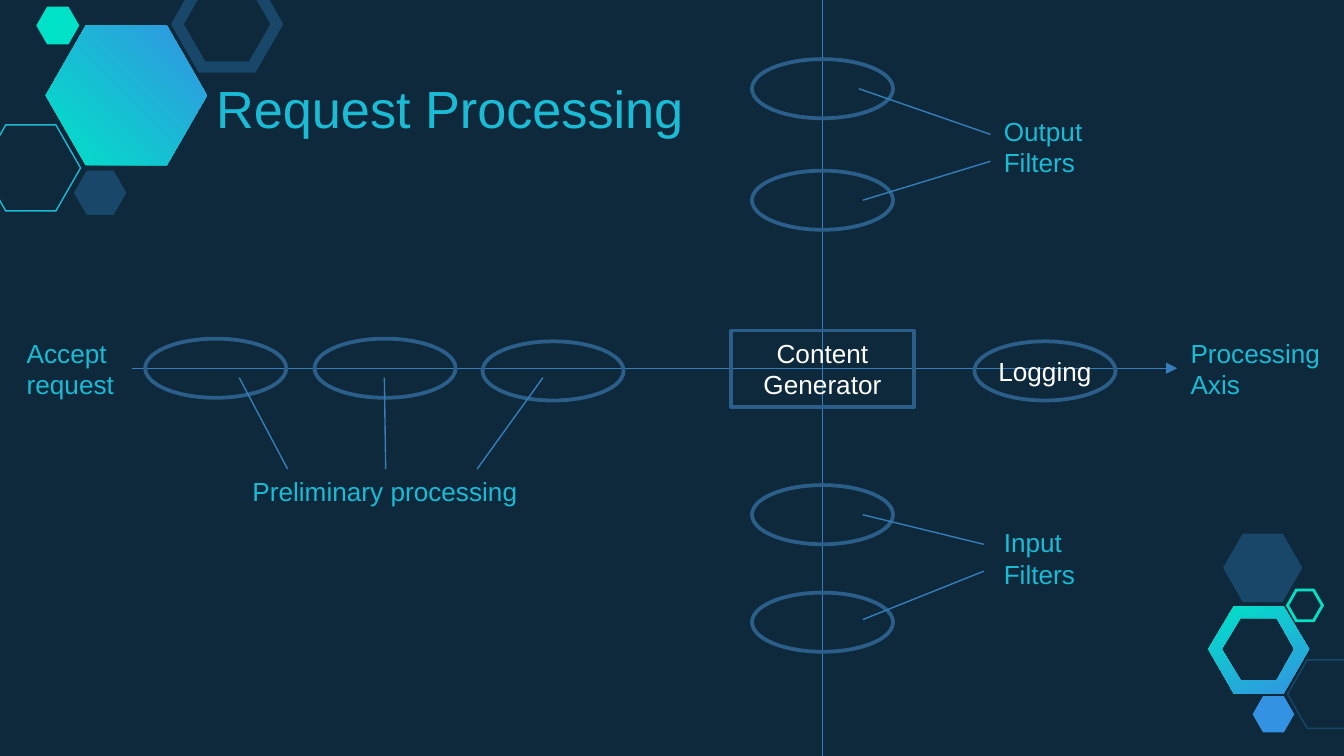
from lxml.etree import SubElement
from pptx import Presentation
from pptx.dml.color import RGBColor
from pptx.enum.shapes import MSO_CONNECTOR, MSO_SHAPE
from pptx.enum.text import MSO_ANCHOR, MSO_AUTO_SIZE, PP_ALIGN
from pptx.oxml.ns import qn
from pptx.util import Inches, Pt

CYAN, TEAL, BLUE, NAVY = "19BBD5", "00E2C7", "3393E2", "184769"
EDGE, WIRE, WHITE = "2B5F8A", "367EB9", "FFFFFF"
WIDTH = 10
HEIGHT = WIDTH * 9 / 16
OVAL_W, OVAL_H = 1.05, 0.44
AXIS_X, AXIS_Y = 6.12, 2.74


def color(code):
    return RGBColor.from_string(code)


def paint(shape, fill=None, line=None, width=0.75):
    shape.shadow.inherit = False
    if fill:
        shape.fill.solid()
        shape.fill.fore_color.rgb = color(fill)
    else:
        shape.fill.background()
    if line:
        shape.line.color.rgb = color(line)
        shape.line.width = Pt(width)
    else:
        shape.line.fill.background()


def blend(shape, angle):
    shape.fill.gradient()
    shape.fill.gradient_angle = angle
    for stop, code in zip(shape.fill.gradient_stops, (TEAL, BLUE)):
        stop.color.rgb = color(code)


def style(para, size, code):
    para.font.size = Pt(size)
    para.font.name = "Arial"
    para.font.color.rgb = color(code)


def add_hex(slide, box, fill=None, line=None, width=0.75):
    shape = slide.shapes.add_shape(MSO_SHAPE.HEXAGON, *map(Inches, box))
    shape.adjustments[0] = 0.287
    paint(shape, fill, line, width)
    if line:
        SubElement(shape.line._get_or_add_ln(), qn("a:miter"), lim="800000")
    return shape


def add_ring(slide):
    outer = [(918, 516), (899, 483), (918, 451),
             (955, 451), (974, 483), (955, 516)]
    inner = [(923, 506), (950, 506), (963, 483),
             (950, 460), (923, 460), (909, 483)]
    pen = slide.shapes.build_freeform(*outer[0], scale=Inches(0.01))
    pen.add_line_segments(outer[1:], close=True)
    pen.move_to(*inner[0])
    pen.add_line_segments(inner[1:], close=True)
    ring = pen.convert_to_shape()
    paint(ring)
    blend(ring, 296)


def add_decor(slide):
    add_ring(slide)
    blend(add_hex(slide, (0.34, 0.19, 1.2, 1.04)), 45)
    add_hex(slide, (-0.14, 0.93, 0.74, 0.64), line=CYAN)
    add_hex(slide, (0.55, 1.27, 0.39, 0.33), NAVY)
    add_hex(slide, (1.32, -0.14, 0.74, 0.64), line=NAVY, width=6)
    add_hex(slide, (0.27, 0.05, 0.32, 0.28), TEAL)
    add_hex(slide, (9.58, 4.91, 0.59, 0.51), line=NAVY)
    add_hex(slide, (9.32, 5.18, 0.31, 0.27), BLUE)
    add_hex(slide, (9.1, 3.97, 0.59, 0.51), NAVY)
    add_hex(slide, (9.58, 4.39, 0.26, 0.23), line=TEAL, width=1.5)


def add_wire(slide, start, end, arrow=False):
    wire = slide.shapes.add_connector(
        MSO_CONNECTOR.STRAIGHT, *map(Inches, start + end))
    wire.line.color.rgb = color(WIRE)
    wire.line.width = Pt(0.75)
    if arrow:
        SubElement(wire.line._get_or_add_ln(), qn("a:tailEnd"), type="triangle")
    SubElement(wire._element.spPr, qn("a:effectLst"))


def add_label(slide, text, box, size=14, wrap=True):
    label = slide.shapes.add_textbox(*map(Inches, box))
    frame = label.text_frame
    frame.word_wrap = wrap
    frame.auto_size = MSO_AUTO_SIZE.SHAPE_TO_FIT_TEXT
    frame.text = text
    style(frame.paragraphs[0], size, CYAN)


def add_node(slide, kind, box, text="", inset=0.1):
    node = slide.shapes.add_shape(kind, *map(Inches, box))
    paint(node, line=EDGE, width=2)
    if text:
        frame = node.text_frame
        frame.margin_left = frame.margin_right = Inches(inset)
        frame.vertical_anchor = MSO_ANCHOR.MIDDLE
        frame.text = text
        para = frame.paragraphs[0]
        para.alignment = PP_ALIGN.CENTER
        style(para, 14, WHITE)


def add_oval(slide, left, top, text=""):
    add_node(slide, MSO_SHAPE.OVAL, (left, top, OVAL_W, OVAL_H), text, 0)


def main():
    deck = Presentation()
    deck.slide_width, deck.slide_height = Inches(WIDTH), Inches(HEIGHT)
    slide = deck.slides.add_slide(deck.slide_layouts[6])
    slide.background.fill.solid()
    slide.background.fill.fore_color.rgb = color("0E293C")

    add_decor(slide)
    add_wire(slide, (AXIS_X, 0), (AXIS_X, HEIGHT))
    add_wire(slide, (0.98, AXIS_Y), (8.76, AXIS_Y), arrow=True)

    for left, top in ((1.08, 2.52), (2.34, 2.52), (3.59, 2.54)):
        add_oval(slide, left, top)
    for top in (0.44, 1.27, 3.61, 4.41):
        add_oval(slide, AXIS_X - OVAL_W / 2, top)
    add_oval(slide, 7.25, 2.54, "Logging")
    add_node(slide, MSO_SHAPE.RECTANGLE, (5.44, 2.46, 1.36, 0.57),
             "Content Generator")

    for top, foot in ((1.78, 2.14), (2.86, 2.87), (4.04, 3.55)):
        add_wire(slide, (top, 2.81), (foot, 3.49))
    for start, end in (((6.39, 0.66), (7.37, 1)),
                       ((6.42, 1.49), (7.37, 1.2)),
                       ((6.42, 3.83), (7.32, 4.05)),
                       ((6.42, 4.61), (7.32, 4.25))):
        add_wire(slide, start, end)

    add_label(slide, "Accept request", (0.1, 2.46, 0.88, 0.57))
    add_label(slide, "Processing Axis", (8.76, 2.46, 1.29, 0.57))
    add_label(slide, "Output Filters", (7.37, 0.81, 0.99, 0.57))
    add_label(slide, "Input Filters", (7.37, 3.87, 0.99, 0.57))
    add_label(slide, "Preliminary processing", (1.78, 3.49, 2.18, 0.34),
              wrap=False)
    add_label(slide, "Request Processing", (1.51, 0.52, 3.72, 0.57), 28, False)
    deck.save("out.pptx")


if __name__ == "__main__":
    main()
